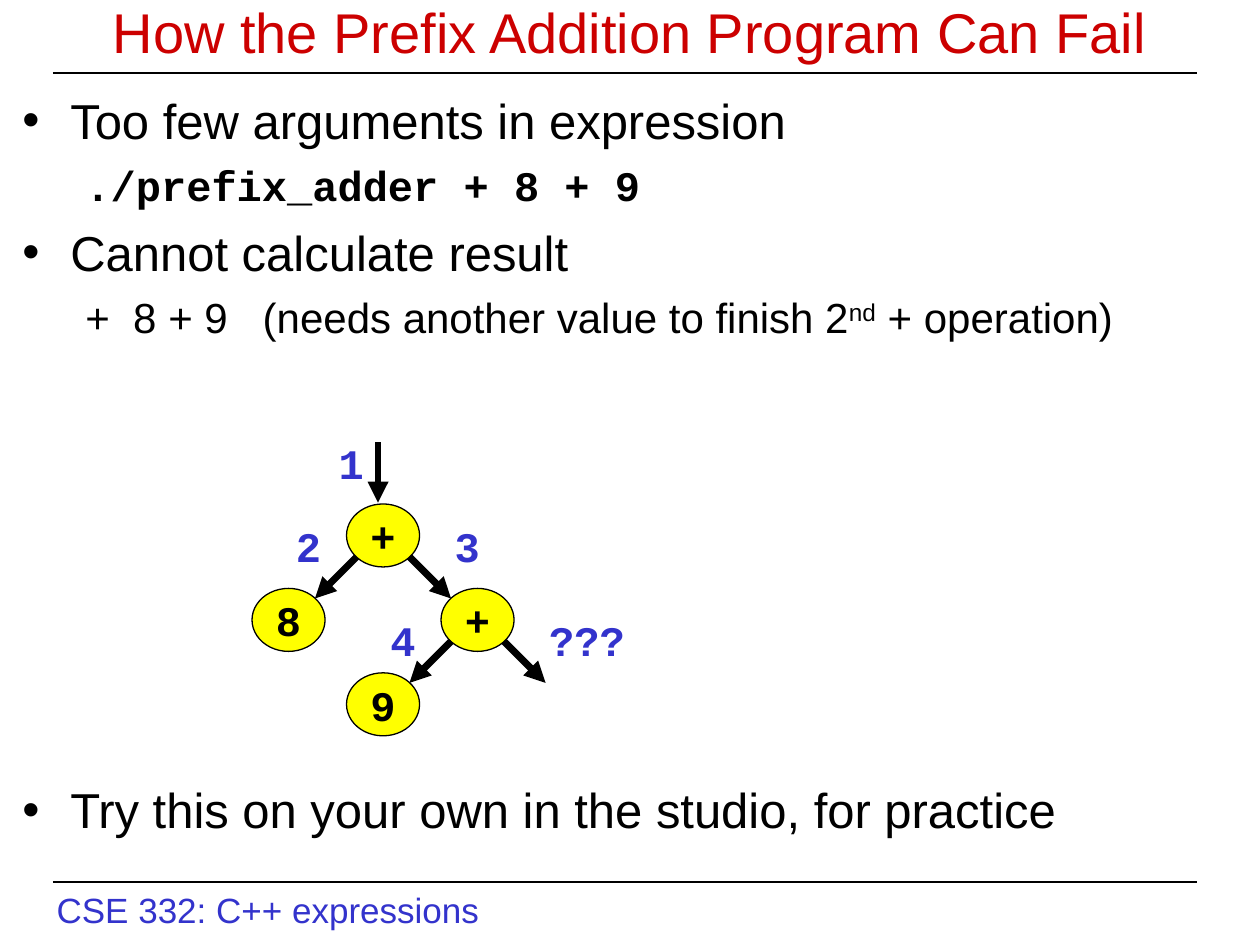
from lxml import etree
from pptx import Presentation
from pptx.dml.color import RGBColor
from pptx.enum.shapes import MSO_CONNECTOR, MSO_SHAPE
from pptx.enum.text import MSO_ANCHOR, PP_ALIGN
from pptx.oxml.ns import qn
from pptx.util import Inches, Pt

STRAIGHT, ELLIPSE = MSO_CONNECTOR.STRAIGHT, MSO_SHAPE.OVAL
MIDDLE, TOP = MSO_ANCHOR.MIDDLE, MSO_ANCHOR.TOP
CENTER, LEFT = PP_ALIGN.CENTER, PP_ALIGN.LEFT

BLACK = RGBColor(0x00, 0x00, 0x00)
RED = RGBColor(0xCC, 0x00, 0x00)
BLUE = RGBColor(0x33, 0x33, 0xCC)
YELLOW = RGBColor(0xFF, 0xFF, 0x00)

SANS, MONO = "Arial", "Courier New"
SLIDE_W, SLIDE_H = 10, 7.5
COLUMN, ROW = 0.75, 0.67
NODE_W, NODE_H = 0.58, 0.5
HAIRLINE, ARROW = 0.74, 4


def style(paragraph, size, color, name=SANS, bold=False):
    """Set the font of a whole paragraph."""
    font = paragraph.font
    font.size, font.name, font.bold = Pt(size), name, bold
    font.color.rgb = color


def add_text(slide, box, text, size, color, name=SANS, bold=False,
             align=LEFT, anchor=TOP, wrap=False):
    """Place one paragraph of text in a box of inches."""
    frame = slide.shapes.add_textbox(*map(Inches, box)).text_frame
    frame.word_wrap, frame.vertical_anchor = wrap, anchor
    paragraph = frame.paragraphs[0]
    paragraph.text, paragraph.alignment = text, align
    style(paragraph, size, color, name, bold)


def add_line(slide, start, end, width, arrow=False):
    """Draw a black line, with an arrowhead at its end if asked."""
    line = slide.shapes.add_connector(STRAIGHT, *map(Inches, (*start, *end)))
    line.line.color.rgb, line.line.width = BLACK, Pt(width)
    if arrow:
        etree.SubElement(line.line._get_or_add_ln(), qn("a:tailEnd"), type="triangle")
    etree.SubElement(line._element.spPr, qn("a:effectLst"))


def add_frame(slide, title, footer):
    """Place the title, the footer and the rule beside each."""
    add_text(slide, (0, -0.17, SLIDE_W, 0.83), title, 32, RED,
             align=CENTER, anchor=MIDDLE, wrap=True)
    add_text(slide, (0.35, 7, 3.75, 0.44), footer, 20, BLUE, wrap=True)
    for y in (0.58, 7):
        add_line(slide, (0.42, y), (9.5, y), HAIRLINE)


def add_outline(slide, box, items):
    """Fill a box with (level, space before, font name, runs) items."""
    frame = slide.shapes.add_textbox(*map(Inches, box)).text_frame
    frame.word_wrap = True
    for index, (level, space, name, runs) in enumerate(items):
        paragraph = frame.paragraphs[0] if index == 0 else frame.add_paragraph()
        paragraph.level, paragraph.space_before = level, Pt(space)
        style(paragraph, 24 if level else 28, BLACK, name, name == MONO)
        for text, raised in runs:
            run = paragraph.add_run()
            run.text = text
            if raised:
                run.font._element.set("baseline", "30000")
        margin, indent = (0.81, -0.31) if level else (0.38, -0.38)
        properties = paragraph._p.get_or_add_pPr()
        properties.set("marL", str(Inches(margin)))
        properties.set("indent", str(Inches(indent)))
        defaults = properties.find(qn("a:defRPr"))
        if level:
            defaults.addprevious(etree.Element(qn("a:buNone")))
        else:
            defaults.addprevious(etree.Element(qn("a:buFont"), typeface=SANS))
            defaults.addprevious(etree.Element(qn("a:buChar"), char="\u2022"))


def add_node(slide, x, y, symbol):
    """Draw one tree node with its symbol."""
    node = slide.shapes.add_shape(ELLIPSE, *map(Inches, (x, y, NODE_W, NODE_H)))
    node.shadow.inherit = False
    node.fill.solid()
    node.fill.fore_color.rgb = YELLOW
    node.line.color.rgb, node.line.width = BLACK, Pt(HAIRLINE)
    frame = node.text_frame
    frame.word_wrap, frame.vertical_anchor = False, MIDDLE
    paragraph = frame.paragraphs[0]
    paragraph.text, paragraph.alignment = symbol, CENTER
    style(paragraph, 24, BLACK, MONO, True)


def add_step(slide, x, y, label):
    """Write the number of a step in the walk through the tree."""
    add_text(slide, (x, y, 0.2 + 0.2 * len(label), 0.5), label, 24, BLUE, MONO, True)


def add_tree(slide, left, top, nodes, branches):
    """Draw nodes on a grid, the branches below operators and the entry arrow."""
    def spot(column, row):
        return left + column * COLUMN, top + row * ROW

    for column, row, symbol in nodes:
        add_node(slide, *spot(column, row), symbol)
    for column, row, drop, left_step, right_step in branches:
        x, y = spot(column, row)
        for begin, end in ((0.08, -0.25), (0.5, 0.83)):
            add_line(slide, (x + begin, y + 0.42), (x + end, y + 0.75), ARROW, True)
        add_step(slide, x - 0.5, y + drop, left_step)
        add_step(slide, x + 0.76, y + drop, right_step)
    root_x, root_y = spot(*nodes[0][:2])
    add_line(slide, (root_x + 0.25, root_y - 0.49), (root_x + 0.25, root_y - 0.01),
             ARROW, True)
    add_step(slide, root_x - 0.16, root_y - 0.58, "1")


OUTLINE = [
    (0, 7, SANS, [("Too few arguments in expression", False)]),
    (1, 6, MONO, [("./prefix_adder + 8 + 9", False)]),
    (0, 7, SANS, [("Cannot calculate result", False)]),
    (1, 6, SANS, [("+  8 + 9   (needs another value to finish 2", False),
                  ("nd", True), (" + operation)", False)]),
    (0, 250, SANS, [("Try this on your own in the studio, for practice", False)]),
]
NODES = [(1, 0, "+"), (2, 1, "+"), (0, 1, "8"), (1, 2, "9")]
BRANCHES = [(1, 0, 0.08, "2", "3"), (2, 1, 0.16, "4", "???")]

deck = Presentation()
deck.slide_width, deck.slide_height = Inches(SLIDE_W), Inches(SLIDE_H)
slide = deck.slides.add_slide(deck.slide_layouts[6])
add_frame(slide, "How the Prefix Addition Program Can Fail", "CSE 332: C++ expressions")
add_outline(slide, (0.08, 0.67, 9.92, 6.25), OUTLINE)
add_tree(slide, 2, 4, NODES, BRANCHES)
deck.save("out.pptx")
